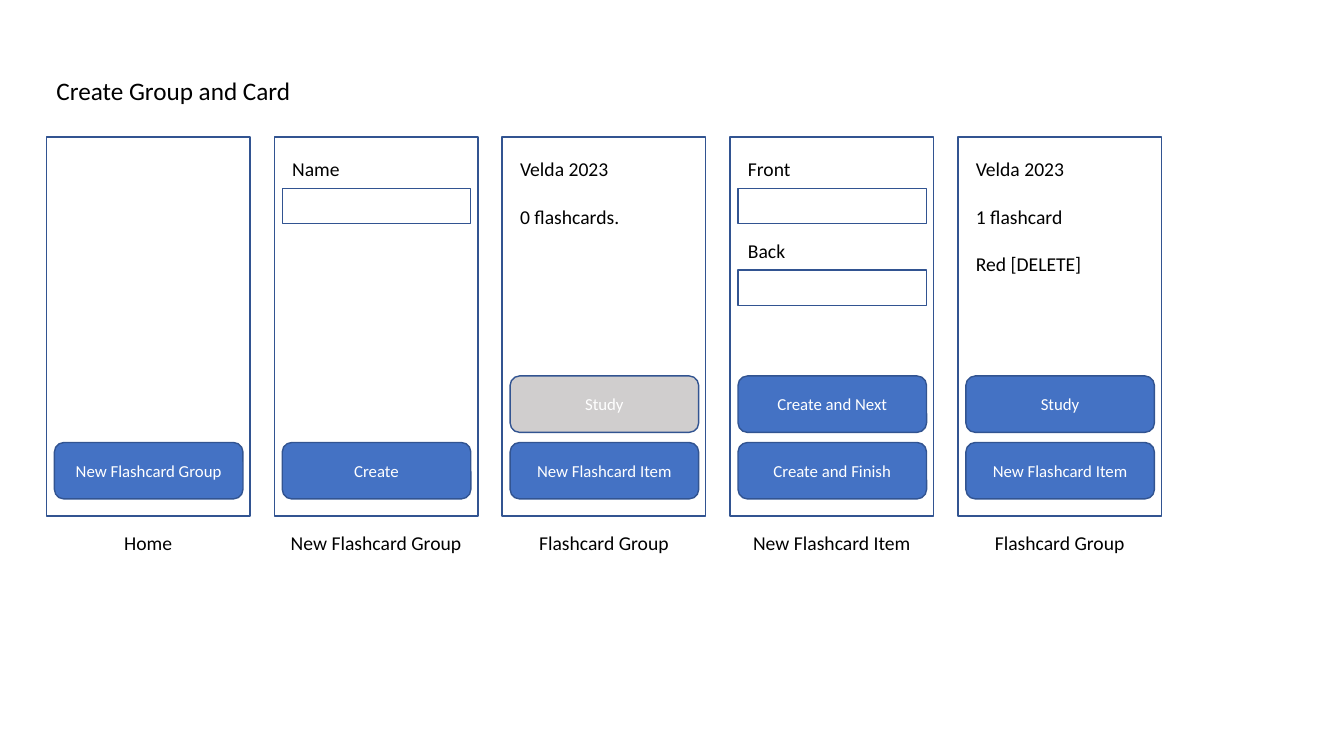
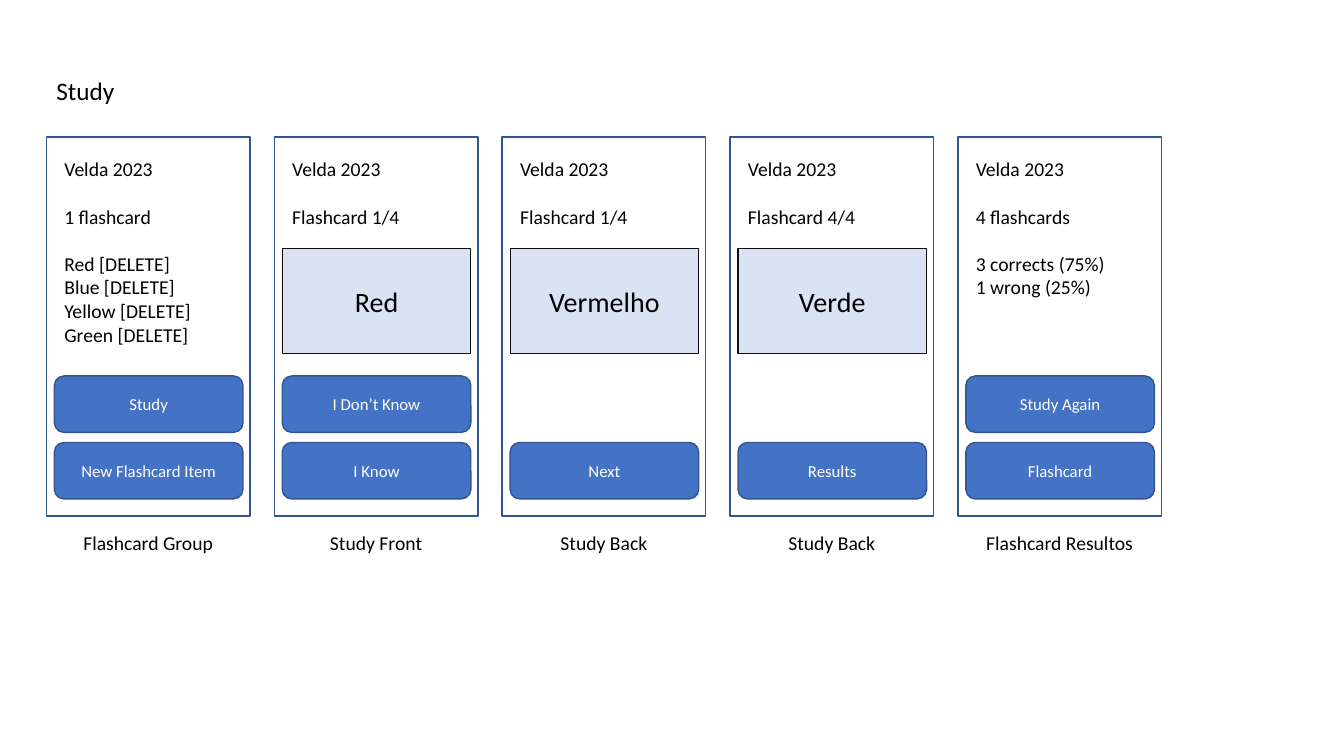
"""Build two flashcard app wireframe slides."""
from dataclasses import dataclass

from pptx import Presentation
from pptx.dml.color import RGBColor
from pptx.enum.shapes import MSO_SHAPE
from pptx.enum.text import MSO_ANCHOR, MSO_AUTO_SIZE, PP_ALIGN
from pptx.util import Inches, Pt

BLUE = RGBColor(0x44, 0x72, 0xC4)
OUTLINE = RGBColor(0x32, 0x54, 0x91)
DISABLED = RGBColor(0xD0, 0xCE, 0xCE)
CARD_FILL = RGBColor(0xDA, 0xE3, 0xF3)
CARD_LINE = RGBColor(0x0D, 0x0D, 0x0D)
BLACK = RGBColor(0, 0, 0)
WHITE = RGBColor(0xFF, 0xFF, 0xFF)
FONT = "Calibri"

SCREEN_LEFT, SCREEN_TOP = 0.46, 1.36
SCREEN_WIDTH, SCREEN_HEIGHT = 2.02, 3.76
SCREEN_PITCH = 2.26
CONTENT_INSET, CONTENT_WIDTH, CONTENT_TOP = 0.08, 1.87, 1.51
FIELD_PITCH = 0.81
BUTTON_TOP, BUTTON_PITCH = 4.39, 0.66
CARD_TOP = 2.47
GROUP_GAP = Pt(17)


@dataclass(frozen=True)
class Screen:
    """One app screen; buttons run from the bottom up."""
    caption: str
    buttons: tuple
    groups: tuple = ()
    fields: tuple = ()
    card: str = ""
    disabled: tuple = ()


DECK = "Velda 2023"
CREATE_SCREENS = (
    Screen("Home", ("New Flashcard Group",)),
    Screen("New Flashcard Group", ("Create",), fields=("Name",)),
    Screen("Flashcard Group", ("New Flashcard Item", "Study"),
           groups=((DECK,), ("0 flashcards.",)), disabled=("Study",)),
    Screen("New Flashcard Item", ("Create and Finish", "Create and Next"),
           fields=("Front", "Back")),
    Screen("Flashcard Group", ("New Flashcard Item", "Study"),
           groups=((DECK,), ("1 flashcard",), ("Red [DELETE]",))),
)
STUDY_SCREENS = (
    Screen("Flashcard Group", ("New Flashcard Item", "Study"),
           groups=((DECK,), ("1 flashcard",),
                   ("Red [DELETE]", "Blue [DELETE]",
                    "Yellow [DELETE]", "Green [DELETE]"))),
    Screen("Study Front", ("I Know", "I Don’t Know"),
           groups=((DECK,), ("Flashcard 1/4",)), card="Red"),
    Screen("Study Back", ("Next",),
           groups=((DECK,), ("Flashcard 1/4",)), card="Vermelho"),
    Screen("Study Back", ("Results",),
           groups=((DECK,), ("Flashcard 4/4",)), card="Verde"),
    Screen("Flashcard Resultos", ("Flashcard", "Study Again"),
           groups=((DECK,), ("4 flashcards",),
                   ("3 corrects (75%)", "1 wrong (25%)"))),
)
FLOWS = (("Create Group and Card", CREATE_SCREENS), ("Study", STUDY_SCREENS))


def style_paragraph(paragraph, size, color, align):
    """Apply the deck font and an alignment to a paragraph."""
    paragraph.alignment = align
    paragraph.font.name = FONT
    paragraph.font.size = Pt(size)
    paragraph.font.color.rgb = color


def add_title(slide, text):
    """Place and format the slide title."""
    title = slide.shapes.title
    title.left, title.top = Inches(SCREEN_LEFT), Inches(0.7)
    title.width, title.height = Inches(11.06), Inches(0.4)
    frame = title.text_frame
    frame.text = text
    frame.auto_size = MSO_AUTO_SIZE.NONE
    frame.vertical_anchor = MSO_ANCHOR.MIDDLE
    style_paragraph(frame.paragraphs[0], 18, BLACK, PP_ALIGN.LEFT)


def add_box(slide, kind, left, top, width, height, fill=None,
            line=OUTLINE, weight=1):
    """Add an outlined shape with an optional fill."""
    box = slide.shapes.add_shape(kind, Inches(left), Inches(top),
                                 Inches(width), Inches(height))
    box.shadow.inherit = False
    if fill is None:
        box.fill.background()
    else:
        box.fill.solid()
        box.fill.fore_color.rgb = fill
    box.line.color.rgb = line
    box.line.width = Pt(weight)
    return box


def set_label(box, text, size, color):
    """Centre a label inside a shape."""
    frame = box.text_frame
    frame.text = text
    frame.word_wrap = True
    frame.vertical_anchor = MSO_ANCHOR.MIDDLE
    style_paragraph(frame.paragraphs[0], size, color, PP_ALIGN.CENTER)


def add_text(slide, left, top, width, groups, align=PP_ALIGN.LEFT):
    """Add groups of lines with a gap between the groups."""
    lines = [line for group in groups for line in group]
    height = 0.1 + 0.24 * (len(lines) + len(groups) - 1)
    frame = slide.shapes.add_textbox(Inches(left), Inches(top), Inches(width),
                                     Inches(height)).text_frame
    frame.word_wrap = True
    frame.text = "\n".join(lines)
    for paragraph in frame.paragraphs:
        style_paragraph(paragraph, 14, BLACK, align)
    start = 0
    for group in groups[:-1]:
        start += len(group)
        frame.paragraphs[start].space_before = GROUP_GAP


def add_button(slide, left, top, text, fill):
    """Add a rounded button."""
    button = add_box(slide, MSO_SHAPE.ROUNDED_RECTANGLE, left, top,
                     CONTENT_WIDTH, 0.56, fill)
    set_label(button, text, 12, WHITE)


def add_field(slide, left, top, label):
    """Add a labelled input field."""
    add_text(slide, left, top, CONTENT_WIDTH, ((label,),))
    add_box(slide, MSO_SHAPE.RECTANGLE, left, top + 0.36, CONTENT_WIDTH, 0.35)


def add_flashcard(slide, left, word):
    """Add the flashcard showing a word."""
    card = add_box(slide, MSO_SHAPE.RECTANGLE, left, CARD_TOP, CONTENT_WIDTH,
                   1.04, CARD_FILL, CARD_LINE, 0.75)
    set_label(card, word, 20, BLACK)


def add_screen(slide, left, screen):
    """Add an app screen with its contents and caption."""
    add_box(slide, MSO_SHAPE.RECTANGLE, left, SCREEN_TOP,
            SCREEN_WIDTH, SCREEN_HEIGHT)
    add_text(slide, left, 5.22, SCREEN_WIDTH, ((screen.caption,),),
             PP_ALIGN.CENTER)
    inner = left + CONTENT_INSET
    if screen.groups:
        add_text(slide, inner, CONTENT_TOP, CONTENT_WIDTH, screen.groups)
    for row, label in enumerate(screen.fields):
        add_field(slide, inner, CONTENT_TOP + row * FIELD_PITCH, label)
    if screen.card:
        add_flashcard(slide, inner, screen.card)
    for row, text in enumerate(screen.buttons):
        fill = DISABLED if text in screen.disabled else BLUE
        add_button(slide, inner, BUTTON_TOP - row * BUTTON_PITCH, text, fill)


def main():
    """Build and save the presentation."""
    presentation = Presentation()
    presentation.slide_width = Inches(13.33)
    presentation.slide_height = Inches(7.5)
    for title, screens in FLOWS:
        slide = presentation.slides.add_slide(presentation.slide_layouts[5])
        add_title(slide, title)
        for column, screen in enumerate(screens):
            add_screen(slide, SCREEN_LEFT + column * SCREEN_PITCH, screen)
    presentation.save("out.pptx")


if __name__ == "__main__":
    main()
